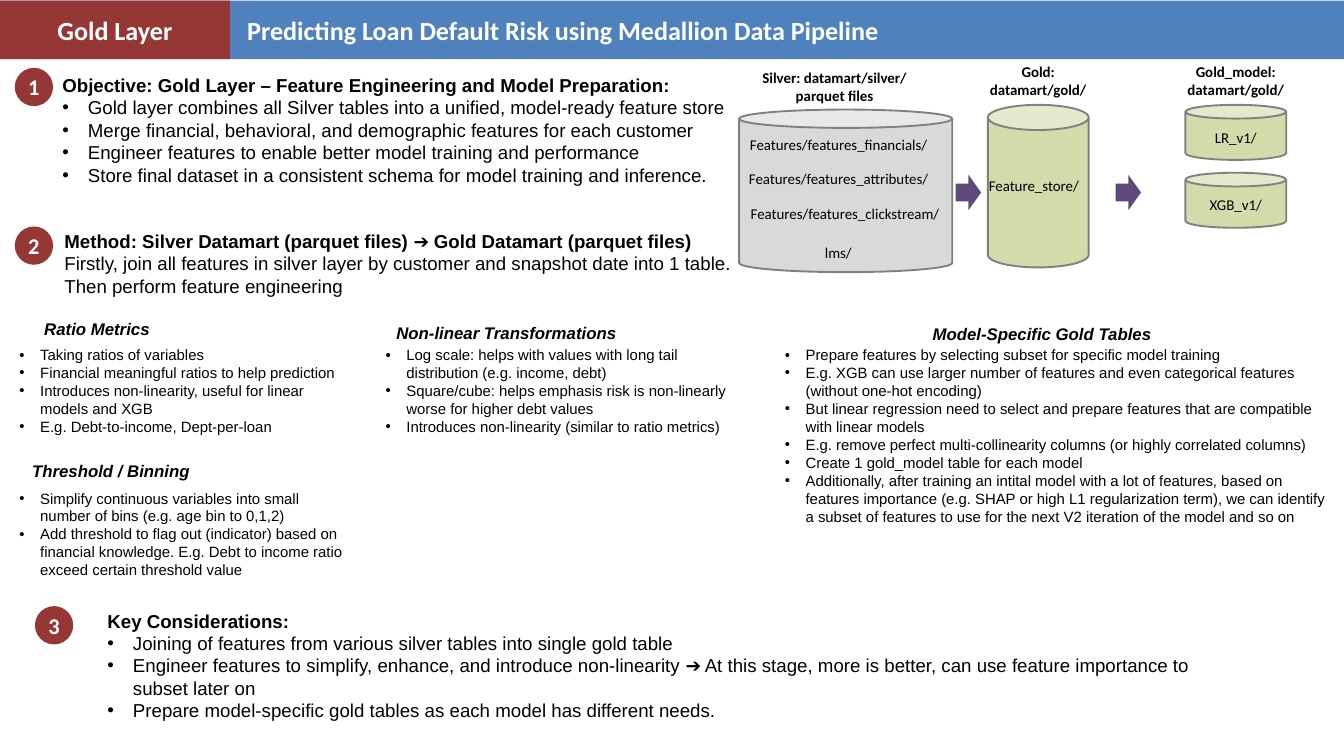
import pptx
import pptx.dml.color
import pptx.enum.shapes
import pptx.enum.text
import pptx.oxml.ns
import pptx.util
import lxml.etree

RGBColor = pptx.dml.color.RGBColor
Kind = pptx.enum.shapes.MSO_SHAPE
Align = pptx.enum.text.PP_ALIGN

PX = 9144
BLUE = RGBColor(0x4F, 0x81, 0xBD)
RED = RGBColor(0x95, 0x37, 0x35)
SILVER = RGBColor(0xD9, 0xD9, 0xD9)
GOLD = RGBColor(0xD5, 0xDA, 0xAA)
GRAY = RGBColor(0x80, 0x80, 0x80)
PURPLE = RGBColor(0x60, 0x4A, 0x7B)
WHITE = RGBColor(0xFF, 0xFF, 0xFF)
BLACK = RGBColor(0, 0, 0)

SECTIONS = [
    ("1", (22, 101), (61, 4, 1300, 178),
     "Objective: Gold Layer – Feature Engineering and Model Preparation:", [
         "Gold layer combines all Silver tables into a unified, model-ready feature store",
         "Merge financial, behavioral, and demographic features for each customer",
         "Engineer features to enable better model training and performance",
         "Store final dataset in a consistent schema for model training and inference."], 38),
    ("2", (22, 337), (64, 0, 1300, 178),
     "Method: Silver Datamart (parquet files) ➔ Gold Datamart (parquet files)", [
         "Firstly, join all features in silver layer by customer and snapshot date into 1 table.",
         "Then perform feature engineering"], 0),
    ("3", (52, 902), (98, 0, 1720, 178), "Key Considerations:", [
        "Joining of features from various silver tables into single gold table",
        "Engineer features to simplify, enhance, and introduce non-linearity ➔ At this stage, "
        "more is better, can use feature importance to subset later on",
        "Prepare model-specific gold tables as each model has different needs."], 38),
]

TECHNIQUES = [
    ((19, 510, 515, 145), (37, -40, 177), "Ratio Metrics", [
        "Taking ratios of variables",
        "Financial meaningful ratios to help prediction",
        "Introduces non-linearity, useful for linear models and XGB",
        "E.g. Debt-to-income, Dept-per-loan"]),
    ((564, 510, 534, 145), (16, -35, 383), "Non-linear Transformations", [
        "Log scale: helps with values with long tail distribution (e.g. income, debt)",
        "Square/cube: helps emphasis risk is non-linearly worse for higher debt values",
        "Introduces non-linearity (similar to ratio metrics)"]),
    ((19, 723, 515, 145), (19, -43, 267), "Threshold / Binning", [
        "Simplify continuous variables into small number of bins (e.g. age bin to 0,1,2)",
        "Add threshold to flag out (indicator) based on financial knowledge. "
        "E.g. Debt to income ratio exceed certain threshold value"]),
    ((1158, 510, 842, 306), (220, -33, 383), "Model-Specific Gold Tables", [
        "Prepare features by selecting subset for specific model training",
        "E.g. XGB can use larger number of features and even categorical features "
        "(without one-hot encoding)",
        "But linear regression need to select and prepare features that are compatible "
        "with linear models",
        "E.g. remove perfect multi-collinearity columns (or highly correlated columns)",
        "Create 1 gold_model table for each model",
        "Additionally, after training an intital model with a lot of features, based on "
        "features importance (e.g. SHAP or high L1 regularization term), we can identify "
        "a subset of features to use for the next V2 iteration of the model and so on"]),
]

STORES = [
    ((1100, 163, 317, 242), SILVER, 0.113, [
        ("Features/features_financials/", (-2, 34, 300)),
        ("Features/features_attributes/", (-2, 84, 300)),
        ("Features/features_clickstream/", (-2, 137, 319)),
        ("lms/", (81, 194, 133))]),
    ((1470, 156, 150, 242), GOLD, 0.25, [("Feature_store/", (-22, 102, 181))]),
    ((1764, 156, 150, 82), GOLD, 0.25, [("LR_v1/", (-75, 30, 300))]),
    ((1764, 257, 150, 82), GOLD, 0.25, [("XGB_v1/", (-75, 29, 300))]),
]

STORE_TITLES = [
    ((1100, 97, 284, 64), ["Silver: datamart/silver/", "parquet files"]),
    ((1457, 88, 176, 64), ["Gold: datamart/gold/"]),
    ((1751, 88, 176, 64), ["Gold_model: datamart/gold/"]),
]


def to_emu(box):
    """Turn a box in px into EMU."""
    return [pptx.util.Emu(value * PX) for value in box]


def style_paragraph(paragraph, size, font, color=BLACK, bold=False, italic=False, align=Align.LEFT):
    """Align a paragraph and format its runs."""
    paragraph.alignment = align
    for run in paragraph.runs:
        run.font.size = pptx.util.Pt(size)
        run.font.name = font
        run.font.color.rgb = color
        run.font.bold = bold
        run.font.italic = italic


def add_bullet(paragraph, indent):
    """Give a paragraph a round bullet and a hanging indent in px."""
    properties = paragraph._p.get_or_add_pPr()
    properties.set("marL", str(indent * PX))
    properties.set("indent", str(-indent * PX))
    for tag, name, value in (("a:buFont", "typeface", "Arial"), ("a:buChar", "char", "•")):
        element = lxml.etree.SubElement(properties, pptx.oxml.ns.qn(tag))
        element.set(name, value)


def add_text(slide, box, lines, size, font, **style):
    """Add a wrapping text box and return its paragraphs."""
    frame = slide.shapes.add_textbox(*to_emu(box)).text_frame
    frame.text = "\n".join(lines)
    frame.word_wrap = True
    frame.auto_size = pptx.enum.text.MSO_AUTO_SIZE.SHAPE_TO_FIT_TEXT
    for paragraph in frame.paragraphs:
        style_paragraph(paragraph, size, font, **style)
    return frame.paragraphs


def add_figure(slide, kind, box, fill, line=None):
    """Add a flat preset shape."""
    shape = slide.shapes.add_shape(kind, *to_emu(box))
    shape.shadow.inherit = False
    shape.fill.solid()
    shape.fill.fore_color.rgb = fill
    if line is None:
        shape.line.fill.background()
    else:
        shape.line.color.rgb = line
        shape.line.width = pptx.util.Pt(2)
    return shape


def add_label_shape(slide, kind, box, fill, text, size):
    """Add a shape with bold white centred text."""
    shape = add_figure(slide, kind, box, fill)
    frame = shape.text_frame
    frame.text = text
    frame.vertical_anchor = pptx.enum.text.MSO_ANCHOR.MIDDLE
    style_paragraph(frame.paragraphs[0], size, "Calibri", WHITE, True, align=Align.CENTER)


def draw_header(slide, box):
    """Draw the title bar with the layer tag."""
    left, top, width, height = box
    add_figure(slide, Kind.RECTANGLE, box, BLUE)
    add_label_shape(slide, Kind.RECTANGLE, (left, top, 342, height), RED, "Gold Layer", 28)
    add_text(slide, (left + 358, top + 15, 1217, 57),
             ["Predicting Loan Default Risk using Medallion Data Pipeline"],
             28, "Calibri", color=WHITE, bold=True)


def draw_section(slide, number, origin, text_box, heading, lines, indent):
    """Draw a numbered badge with a heading and its lines."""
    left, top = origin
    x, y, width, height = text_box
    add_label_shape(slide, Kind.OVAL, (left, top, 57, 57), RED, number, 24)
    first, *others = add_text(slide, (left + x, top + y, width, height),
                              [heading, *lines], 20, "Arial")
    style_paragraph(first, 20, "Arial", bold=True)
    if indent:
        for paragraph in others:
            add_bullet(paragraph, indent)


def draw_technique(slide, box, heading_box, heading, lines):
    """Draw an italic heading above a bulleted list."""
    x, y, width = heading_box
    add_text(slide, (box[0] + x, box[1] + y, width, 40), [heading],
             18, "Arial", bold=True, italic=True)
    for paragraph in add_text(slide, box, lines, 16, "Arial"):
        add_bullet(paragraph, 31)


def draw_store(slide, box, fill, rim, labels):
    """Draw a data store cylinder with its folder labels."""
    can = add_figure(slide, Kind.CAN, box, fill, GRAY)
    can.adjustments[0] = rim
    for text, (x, y, width) in labels:
        add_text(slide, (box[0] + x, box[1] + y, width, 37), [text],
                 16, "Calibri", align=Align.CENTER)


def draw_pipeline(slide):
    """Draw the stores, their titles and the arrows between them."""
    for store in STORES:
        draw_store(slide, *store)
    for box, lines in STORE_TITLES:
        add_text(slide, box, lines, 16, "Calibri", bold=True, align=Align.CENTER)
    for left in (1422, 1660):
        add_figure(slide, Kind.RIGHT_ARROW, (left, 260, 38, 53), PURPLE)


def main():
    """Build the slide and save it."""
    presentation = pptx.Presentation()
    presentation.slide_width, presentation.slide_height = to_emu((2000, 1125))
    slide = presentation.slides.add_slide(presentation.slide_layouts[6])
    draw_header(slide, (0, 1, 2000, 87))
    for section in SECTIONS:
        draw_section(slide, *section)
    draw_pipeline(slide)
    for technique in TECHNIQUES:
        draw_technique(slide, *technique)
    presentation.save("out.pptx")


if __name__ == "__main__":
    main()
